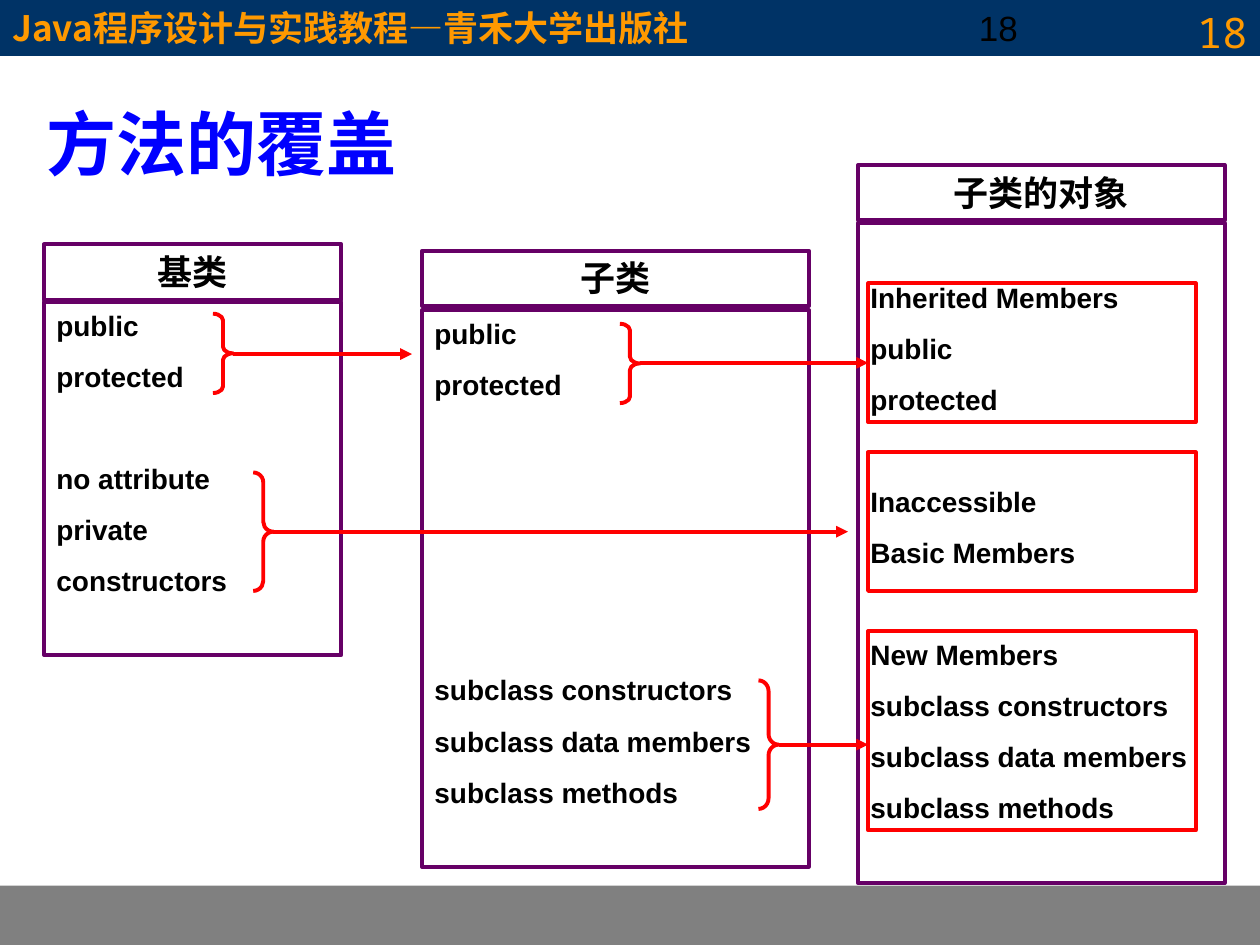
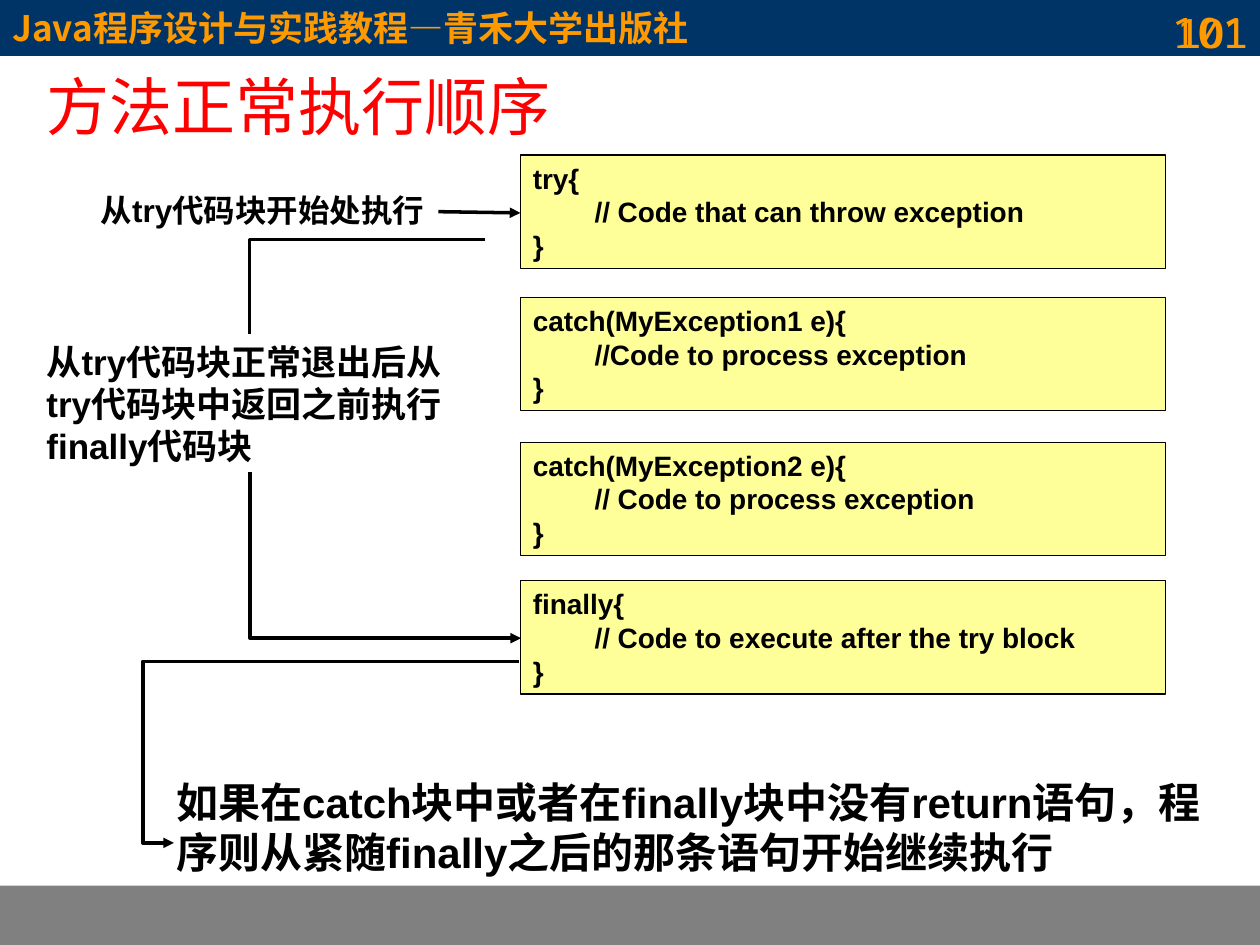
from dataclasses import dataclass
from typing import Optional

import pptx
import pptx.dml.color
import pptx.enum.shapes
import pptx.enum.text
import pptx.oxml.ns
import pptx.util
from lxml import etree

Inches = pptx.util.Inches
Pt = pptx.util.Pt
RGBColor = pptx.dml.color.RGBColor
MSO_SHAPE = pptx.enum.shapes.MSO_SHAPE
MSO_CONNECTOR = pptx.enum.shapes.MSO_CONNECTOR
PP_ALIGN = pptx.enum.text.PP_ALIGN
MSO_ANCHOR = pptx.enum.text.MSO_ANCHOR
qn = pptx.oxml.ns.qn

# Colours and fonts
NAVY = RGBColor(0x00, 0x33, 0x66)
ORANGE = RGBColor(0xFF, 0x99, 0x00)
GRAY = RGBColor(0x80, 0x80, 0x80)
BLUE = RGBColor(0x00, 0x00, 0xFF)
RED = RGBColor(0xFF, 0x00, 0x00)
PURPLE = RGBColor(0x66, 0x00, 0x66)
YELLOW = RGBColor(0xFF, 0xFF, 0x99)
BLACK = RGBColor(0x00, 0x00, 0x00)
LATIN_FONT = "Arial"
CHINESE_FONT = "Noto Sans CJK SC"
NUMBER_FONT = "Noto Sans Mono"

THICK, MEDIUM, THIN = 2.25, 2, 0.75
LINE_GAP = 10  # points before each member
LINE_PITCH = 29.1  # points from one member line to the next


@dataclass
class Frame:
    left: float
    top: float
    width: float
    height: float

    def lengths(self) -> tuple:
        return tuple(Inches(v) for v in (self.left, self.top, self.width, self.height))


@dataclass
class Style:
    size: float
    color: RGBColor = BLACK
    bold: bool = True
    font: str = LATIN_FONT
    align: PP_ALIGN = PP_ALIGN.LEFT


@dataclass
class Panel:
    """A class box: a heading and groups of members, with skipped lines before each."""
    heading: str
    left: float
    top: float
    width: float
    body_top: float
    body_height: float
    groups: list


@dataclass
class Brace:
    left: float
    top: float
    height: float
    arrow_y: float
    arrow_end: float


@dataclass
class Elbow:
    frame: Frame
    rotation: int
    flip: str
    preset: str
    arrow: bool = True
    bend: Optional[float] = None


# Shared drawing functions
def write(box, lines: list, style: Style, anchor=MSO_ANCHOR.TOP, wrap: bool = True) -> list:
    """Fill a box with paragraphs of one style and return them."""
    text = box.text_frame
    text.word_wrap = wrap
    text.vertical_anchor = anchor
    text.text = "\n".join(lines)
    for para in text.paragraphs:
        para.alignment = style.align
        para.font.size = Pt(style.size)
        para.font.bold = style.bold
        para.font.name = style.font
        para.font.color.rgb = style.color
        defaults = para._p.get_or_add_pPr().find(qn("a:defRPr"))
        etree.SubElement(defaults, qn("a:ea")).set("typeface", CHINESE_FONT)
    return list(text.paragraphs)


def add_text(page, frame: Frame, content: str, style: Style, **options):
    box = page.shapes.add_textbox(*frame.lengths())
    write(box, [content], style, **options)
    return box


def add_box(page, frame: Frame, fill: Optional[RGBColor] = None,
            line: Optional[RGBColor] = None, weight: float = THICK, kind=MSO_SHAPE.RECTANGLE):
    box = page.shapes.add_shape(kind, *frame.lengths())
    box.shadow.inherit = False
    if fill is None:
        box.fill.background()
    else:
        box.fill.solid()
        box.fill.fore_color.rgb = fill
    if line is None:
        box.line.fill.background()
    else:
        box.line.color.rgb = line
        box.line.width = Pt(weight)
    return box


def finish_line(connector, color: RGBColor, weight: float, arrow: bool = True) -> None:
    connector.line.color.rgb = color
    connector.line.width = Pt(weight)
    if arrow:
        outline = connector.line._get_or_add_ln()
        etree.SubElement(outline, qn("a:tailEnd")).set("type", "triangle")
    etree.SubElement(connector._element.spPr, qn("a:effectLst"))


def add_arrow(page, start: tuple, end: tuple, color: RGBColor, weight: float) -> None:
    points = [Inches(v) for v in start + end]
    connector = page.shapes.add_connector(MSO_CONNECTOR.STRAIGHT, *points)
    finish_line(connector, color, weight)


def add_elbow(page, elbow: Elbow, begin: Optional[tuple] = None, end: Optional[tuple] = None) -> None:
    """Draw a bent line; begin and end are (shape, connection site) pairs."""
    left, top, width, height = elbow.frame.lengths()
    connector = page.shapes.add_connector(MSO_CONNECTOR.ELBOW, left, top, left + width, top + height)
    if begin:
        connector.begin_connect(*begin)
    if end:
        connector.end_connect(*end)
    connector.left, connector.top, connector.width, connector.height = left, top, width, height
    properties = connector._element.spPr
    transform = properties.find(qn("a:xfrm"))
    transform.set("rot", str(elbow.rotation * 60000))
    for flip in ("flipH", "flipV"):
        transform.set(flip, str(int(flip == elbow.flip)))
    geometry = properties.find(qn("a:prstGeom"))
    geometry.set("prst", elbow.preset)
    if elbow.bend is not None:
        guide = etree.SubElement(geometry.find(qn("a:avLst")), qn("a:gd"))
        guide.set("name", "adj1")
        guide.set("fmla", f"val {round(elbow.bend * 100000)}")
    finish_line(connector, BLACK, MEDIUM, elbow.arrow)


NUMBER_FRAME = Frame(7.67, 0, 2.33, 0.52)
NUMBER_STYLE = Style(24, ORANGE, bold=False, font=NUMBER_FONT, align=PP_ALIGN.RIGHT)


def add_page(deck, number: str, inner_number: Style, title: str, title_frame: Frame, title_style: Style):
    """Start a slide with its bands, numbers and title."""
    page = deck.slides.add_slide(deck.slide_layouts[6])
    add_box(page, Frame(0, 7.03, 10, 0.47), fill=GRAY)
    band = add_box(page, Frame(0, 0, 10, 0.44), NAVY, NAVY, THIN)
    write(band, ["Java程序设计与实践教程—青禾大学出版社"],
          Style(20, ORANGE, font=CHINESE_FONT), anchor=MSO_ANCHOR.MIDDLE)
    add_text(page, NUMBER_FRAME, number, inner_number)
    add_text(page, NUMBER_FRAME, number, NUMBER_STYLE)
    add_text(page, title_frame, title, title_style, anchor=MSO_ANCHOR.MIDDLE)
    return page


def add_panel(page, panel: Panel) -> None:
    heading = add_box(page, Frame(panel.left, panel.top, panel.width, 0.44), line=PURPLE)
    write(heading, [panel.heading], Style(20, align=PP_ALIGN.CENTER))
    body = add_box(page, Frame(panel.left, panel.body_top, panel.width, panel.body_height), line=PURPLE)
    members = [(name, skipped if index == 0 else 0)
               for skipped, names in panel.groups for index, name in enumerate(names)]
    paras = write(body, [name for name, _ in members], Style(16))
    body.text_frame.margin_top = Inches(0.05) + Pt(LINE_PITCH * members[0][1])
    for para, (_, skipped) in list(zip(paras, members))[1:]:
        para.space_before = Pt(LINE_GAP + LINE_PITCH * skipped)


def add_brace(page, brace: Brace) -> None:
    width = 0.16
    shape = add_box(page, Frame(brace.left, brace.top, width, brace.height),
                    line=RED, kind=MSO_SHAPE.RIGHT_BRACE)
    shape.adjustments[0] = brace.height / 12 / width
    add_arrow(page, (brace.left + width, brace.arrow_y), (brace.arrow_end, brace.arrow_y), RED, THICK)


def add_code(page, top: float, opening: str, comment: str):
    box = add_box(page, Frame(4.13, top, 5.12, 0.9), YELLOW, BLACK, THIN)
    paras = write(box, [opening, comment, "}"], Style(16))
    paras[1]._p.get_or_add_pPr().set("marL", str(Inches(0.49)))
    return box


deck = pptx.Presentation()
deck.slide_width, deck.slide_height = Inches(10), Inches(7.5)

# Slide 1: overriding methods
page = add_page(deck, "18", Style(20, bold=False), "方法的覆盖",
                Frame(0.27, 0.76, 8.5, 0.75), Style(40, BLUE))

ACCESS = ["public", "protected"]
ADDED = ["subclass constructors", "subclass data members", "subclass methods"]
PANELS = [
    Panel("基类", 0.35, 1.94, 2.36, 2.4, 2.8,
          [(0, ACCESS), (1, ["no attribute", "private", "constructors"])]),
    Panel("子类", 3.35, 1.99, 3.07, 2.46, 4.42, [(0, ACCESS), (5, ADDED)]),
    Panel("子类的对象", 6.81, 1.31, 2.91, 1.77, 5.24,
          [(1, ["Inherited Members"] + ACCESS),
           (1, ["Inaccessible", "Basic Members"]),
           (1, ["New Members"] + ADDED)]),
]
for panel in PANELS:
    add_panel(page, panel)

for top, height in [(2.25, 1.1), (3.59, 1.1), (5.01, 1.58)]:
    add_box(page, Frame(6.89, top, 2.6, height), line=RED)

BRACES = [
    Brace(1.69, 2.49, 0.63, 2.81, 3.27),
    Brace(2.01, 3.75, 0.94, 4.22, 6.73),
    Brace(4.92, 2.57, 0.63, 2.88, 6.89),
    Brace(6.02, 5.4, 1.02, 5.91, 6.89),
]
for brace in BRACES:
    add_brace(page, brace)

# Slide 2: normal order of execution
page = add_page(deck, "101", Style(24, ORANGE, bold=False, align=PP_ALIGN.RIGHT), "方法正常执行顺序",
                Frame(0.27, 0.52, 9, 0.63), Style(36, RED, bold=False))

CODE = [
    (1.23, "try{", "// Code that can throw exception"),
    (2.36, "catch(MyException1 e){", "//Code to process exception"),
    (3.51, "catch(MyException2 e){", "// Code to process exception"),
    (4.61, "finally{", "// Code to execute after the try block"),
]
code_boxes = [add_code(page, *block) for block in CODE]

add_text(page, Frame(0.7, 1.47, 2.89, 0.4), "从try代码块开始处执行", Style(18), wrap=False)
exit_note = add_text(page, Frame(0.27, 2.65, 3.42, 1.1),
                     "从try代码块正常退出后从try代码块中返回之前执行finally代码块", Style(20))
add_text(page, Frame(1.3, 6.11, 8.35, 0.9),
         "如果在catch块中或者在finally块中没有return语句，程序则从紧随finally之后的那条语句开始继续执行",
         Style(24))

# Flow from try, through the exit note, to finally and onwards
add_arrow(page, (3.48, 1.68), (4.13, 1.69), BLACK, MEDIUM)
add_elbow(page, Elbow(Frame(1.98, 1.9, 1.87, 0.75), 180, "flipV", "bentConnector2", arrow=False),
          end=(exit_note, 0))
add_elbow(page, Elbow(Frame(2.4, 3.33, 1.32, 2.15), 270, "flipH", "bentConnector2"),
          begin=(exit_note, 2), end=(code_boxes[-1], 1))
add_elbow(page, Elbow(Frame(1.38, 5.25, 2.74, 1.44), 180, "flipV", "bentConnector3", bend=1.09))

deck.save("out.pptx")
